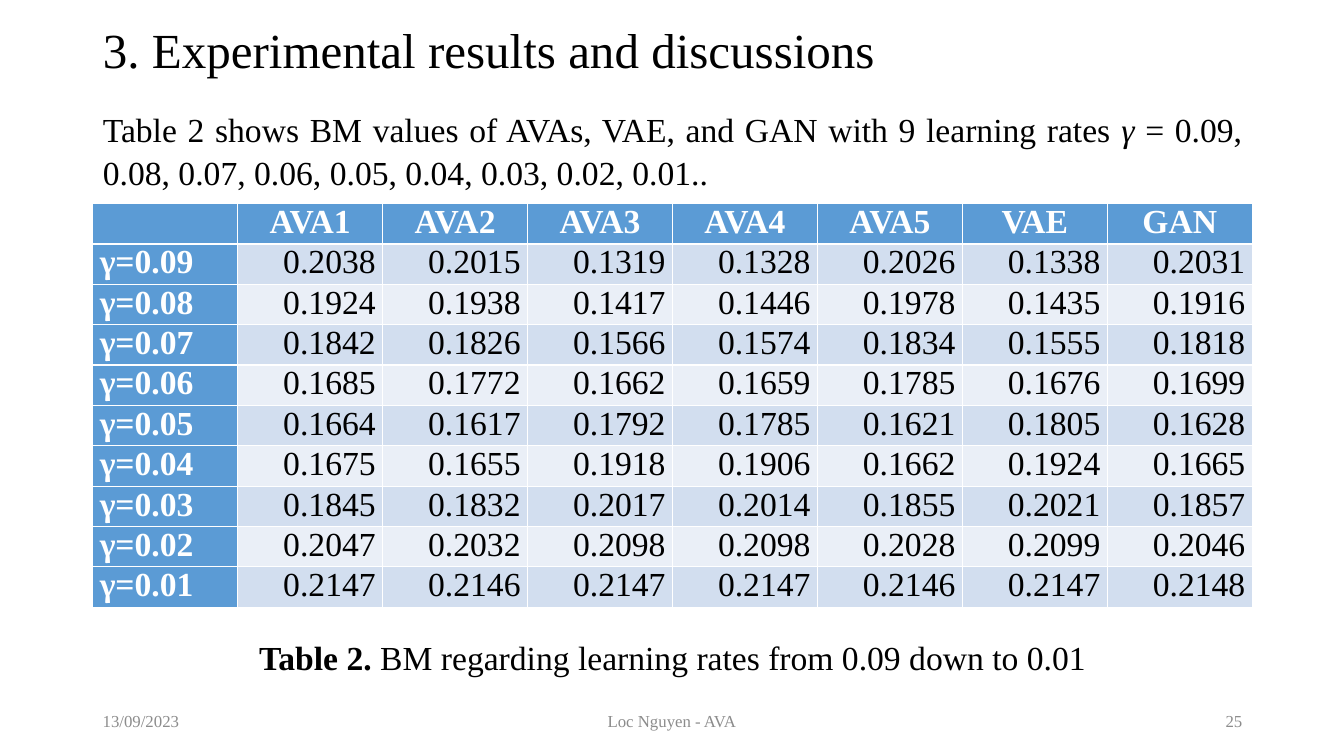
from pptx import Presentation
from pptx.dml.color import RGBColor
from pptx.enum.text import MSO_ANCHOR, MSO_AUTO_SIZE, PP_ALIGN
from pptx.oxml.ns import qn
from pptx.util import Inches, Pt

LEFT, CENTER, RIGHT, JUSTIFY = PP_ALIGN.LEFT, PP_ALIGN.CENTER, PP_ALIGN.RIGHT, PP_ALIGN.JUSTIFY
MIDDLE = MSO_ANCHOR.MIDDLE
NO_AUTOFIT = MSO_AUTO_SIZE.NONE

THEME = {
    "font": "Times New Roman",
    "title": 35, "text": 24, "footer": 12,
    "black": "000000", "white": "FFFFFF", "gray": "8C8C8C",
    "header": "5B9BD5", "bands": ("D2DEEF", "EAEFF7"),
}
SLIDE_WIDTH, SLIDE_HEIGHT = 13.33, 7.5
MARGIN = 0.92
CONTENT_WIDTH = 11.5
ROW_HEIGHT = 0.36


def add_span(para, text, size, color, **styles):
    span = para.add_run()
    span.text = text
    span.font.color.rgb = RGBColor.from_string(THEME[color])
    formats = {"name": THEME["font"], "size": Pt(THEME[size]), **styles}
    for name, value in formats.items():
        setattr(span.font, name, value)


def place(box, left, top, width, height):
    frame = {"left": left, "top": top, "width": width, "height": height}
    for name, value in frame.items():
        setattr(box, name, Inches(value))


deck = Presentation()
deck.slide_width, deck.slide_height = Inches(SLIDE_WIDTH), Inches(SLIDE_HEIGHT)
page = deck.slides.add_slide(deck.slide_layouts[1])

title = page.shapes.title
place(title, MARGIN, 0.13, CONTENT_WIDTH, 0.72)
title.text_frame.auto_size = NO_AUTOFIT
title.text_frame.vertical_anchor = MIDDLE
title_para = title.text_frame.paragraphs[0]
title_para.alignment = LEFT
add_span(title_para, "3. Experimental results and discussions", "title", "black")

body = page.placeholders[1]
place(body, MARGIN, 1, CONTENT_WIDTH, 5.66)
body.text_frame.auto_size = NO_AUTOFIT
intro = body.text_frame.paragraphs[0]
caption = body.text_frame.add_paragraph()
for para, alignment, space in ((intro, JUSTIFY, 0), (caption, CENTER, 316)):
    properties = para._p.get_or_add_pPr()
    properties.set("marL", "0")
    properties.set("indent", "0")
    properties.append(properties.makeelement(qn("a:buNone"), {}))
    formats = {"alignment": alignment, "line_spacing": 1.07,
               "space_before": Pt(space), "space_after": Pt(0)}
    for name, value in formats.items():
        setattr(para, name, value)
add_span(intro, "Table 2 shows BM values of AVAs, VAE, and GAN with 9 learning rates ", "text", "black")
add_span(intro, "γ", "text", "black", italic=True)
add_span(intro, " = 0.09, 0.08, 0.07, 0.06, 0.05, 0.04, 0.03, 0.02, 0.01..", "text", "black")
add_span(caption, "Table 2. ", "text", "black", bold=True)
add_span(caption, "BM regarding learning rates from 0.09 down to 0.01", "text", "black")

footers = (
    ("13/09/2023", LEFT, MARGIN, 3),
    ("Loc Nguyen - AVA", CENTER, (SLIDE_WIDTH - 4.5) / 2, 4.5),
    ("25", RIGHT, MARGIN + CONTENT_WIDTH - 3, 3),
)
for text, alignment, left, width in footers:
    box = page.shapes.add_textbox(Inches(left), Inches(6.95), Inches(width), Inches(0.4))
    box.text_frame.word_wrap = True
    box.text_frame.vertical_anchor = MIDDLE
    para = box.text_frame.paragraphs[0]
    para.alignment = alignment
    add_span(para, text, "footer", "gray")

rows = [
    ["", "AVA1", "AVA2", "AVA3", "AVA4", "AVA5", "VAE", "GAN"],
    ["γ=0.09", "0.2038", "0.2015", "0.1319", "0.1328", "0.2026", "0.1338", "0.2031"],
    ["γ=0.08", "0.1924", "0.1938", "0.1417", "0.1446", "0.1978", "0.1435", "0.1916"],
    ["γ=0.07", "0.1842", "0.1826", "0.1566", "0.1574", "0.1834", "0.1555", "0.1818"],
    ["γ=0.06", "0.1685", "0.1772", "0.1662", "0.1659", "0.1785", "0.1676", "0.1699"],
    ["γ=0.05", "0.1664", "0.1617", "0.1792", "0.1785", "0.1621", "0.1805", "0.1628"],
    ["γ=0.04", "0.1675", "0.1655", "0.1918", "0.1906", "0.1662", "0.1924", "0.1665"],
    ["γ=0.03", "0.1845", "0.1832", "0.2017", "0.2014", "0.1855", "0.2021", "0.1857"],
    ["γ=0.02", "0.2047", "0.2032", "0.2098", "0.2098", "0.2028", "0.2099", "0.2046"],
    ["γ=0.01", "0.2147", "0.2146", "0.2147", "0.2147", "0.2146", "0.2147", "0.2148"],
]
table = page.shapes.add_table(
    len(rows), len(rows[0]), Inches(MARGIN), Inches(2.02),
    Inches(CONTENT_WIDTH), Inches(ROW_HEIGHT * len(rows))).table
table.first_col = True
margins = {"margin_left": 0.07, "margin_top": 0, "margin_right": 0.07, "margin_bottom": 0}
for row_index, row in enumerate(rows):
    for column_index, text in enumerate(row):
        cell = table.cell(row_index, column_index)
        for name, value in margins.items():
            setattr(cell, name, Inches(value))
        is_header = row_index == 0 or column_index == 0
        fill = THEME["header"] if is_header else THEME["bands"][(row_index - 1) % 2]
        cell.fill.solid()
        cell.fill.fore_color.rgb = RGBColor.from_string(fill)
        para = cell.text_frame.paragraphs[0]
        para.alignment = CENTER if row_index == 0 else JUSTIFY if column_index == 0 else RIGHT
        if text:
            add_span(para, text, "text", "white" if is_header else "black", bold=is_header)

deck.save("out.pptx")
